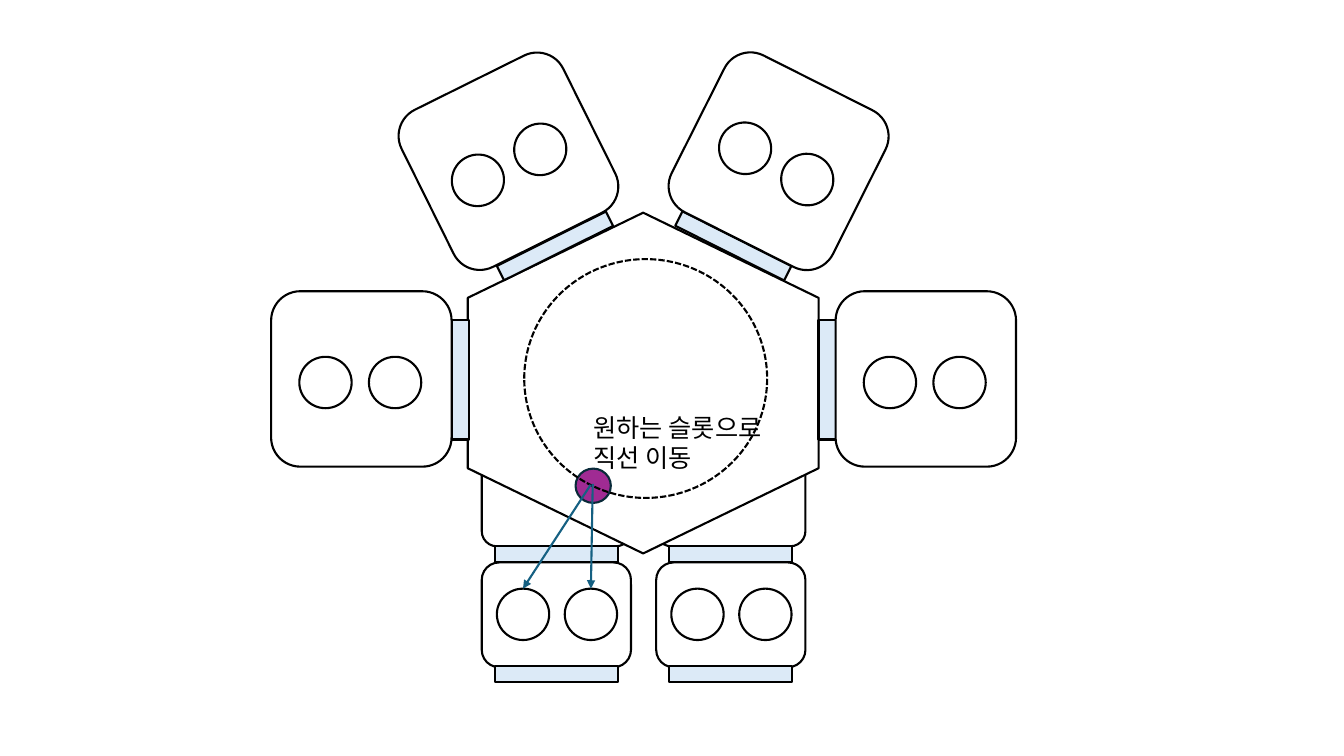
from math import cos, radians, sin

from pptx import Presentation
from pptx.dml.color import RGBColor
from pptx.enum import dml, shapes, text
from pptx.oxml import ns
from pptx.util import Pt
from lxml import etree

COLORS = {
    "white": "FFFFFF",
    "black": "000000",
    "gate": "DCEAF7",
    "robot": "A02B93",
    "robot_edge": "092A39",
    "arrow": "156082",
}
FONT = "Noto Sans CJK KR"
LINE_WIDTH = 1.5
SHAPE = shapes.MSO_SHAPE

SLOT_SIZE = (37.4, 36.7)
CHAMBER_SIZE = (128.9, 125.3)
CHAMBER_SLOTS = [(-25.6, 2.5), (24.1, 2.5)]
LOCK_SIZE = (106.6, 74.9)
LOCK_SLOTS = [(-23.8, -0.4), (24.7, -0.4)]
LOCK_COLUMNS = (397.4, 522)


def color(name):
    return RGBColor.from_string(COLORS[name])


def add_part(parent, kind, center, size, rotation=0, fill="white", edge="black"):
    """Add an outlined preset shape around its center; fill None leaves it open."""
    (x, y), (width, height) = center, size
    shape = parent.shapes.add_shape(
        kind, Pt(x - width / 2), Pt(y - height / 2), Pt(width), Pt(height))
    shape.rotation = rotation
    shape.shadow.inherit = False
    if fill:
        shape.fill.solid()
        shape.fill.fore_color.rgb = color(fill)
    else:
        shape.fill.background()
    shape.line.color.rgb = color(edge)
    shape.line.width = Pt(LINE_WIDTH)
    return shape


def add_gate(parent, center, size, rotation):
    add_part(parent, SHAPE.RECTANGLE, center, size, rotation, fill="gate")


def add_module(parent, center, size, slot_offsets, rotation=0):
    """Add a rounded module and its wafer slots, turned together; return the slots."""
    add_part(parent, SHAPE.ROUNDED_RECTANGLE, center, size, rotation)
    cosine, sine = cos(radians(rotation)), sin(radians(rotation))
    slots = []
    for dx, dy in slot_offsets:
        slot_center = (center[0] + dx * cosine - dy * sine,
                       center[1] + dx * sine + dy * cosine)
        slots.append(add_part(parent, SHAPE.OVAL, slot_center, SLOT_SIZE, rotation))
    return slots


def add_arrow(slide, start, target):
    """Add an arrow from a point to the top of the target shape."""
    x, y = (Pt(value) for value in start)
    arrow = slide.shapes.add_connector(shapes.MSO_CONNECTOR.STRAIGHT, x, y, x, y)
    arrow.end_connect(target, 0)
    arrow.line.color.rgb = color("arrow")
    arrow.line.width = Pt(LINE_WIDTH)
    etree.SubElement(arrow.line._get_or_add_ln(), ns.qn("a:tailEnd"), type="triangle")
    etree.SubElement(arrow._element.spPr, ns.qn("a:effectLst"))


def add_label(slide, left, top, width, height, lines):
    box = slide.shapes.add_textbox(Pt(left), Pt(top), Pt(width), Pt(height))
    frame = box.text_frame
    frame.word_wrap = False
    frame.auto_size = text.MSO_AUTO_SIZE.SHAPE_TO_FIT_TEXT
    for index, line in enumerate(lines):
        paragraph = frame.add_paragraph() if index else frame.paragraphs[0]
        run = paragraph.add_run()
        run.text = line
        run.font.size = Pt(18)
        run.font.name = FONT
        run.font.color.rgb = color("black")
        etree.SubElement(run.font._element, ns.qn("a:ea"), typeface=FONT)


def add_equipment(slide):
    """Draw the grouped equipment; return the slots of the left load lock."""
    group = slide.shapes.add_group_shape()

    # Transfer chamber over the inner lock parts
    for x in reversed(LOCK_COLUMNS):
        add_part(group, SHAPE.ROUNDED_RECTANGLE, (x, 357.5), (106.6, 65.5))
    add_part(group, SHAPE.HEXAGON, (459.4, 273.6), (243.4, 250.6), 90)

    # Gates around the transfer chamber
    for x, rotation in ((396.4, 333.5), (523.8, 26.7)):
        add_gate(group, (x, 175.7), (87.1, 11.5), rotation)
    for x in (328.7, 590.8):
        add_gate(group, (x, 271.1), (85.7, 12.2), 270)
    for x in LOCK_COLUMNS:
        add_gate(group, (x, 396), (87.8, 11.5), 180)

    # Load locks and process chambers
    lock_slots = [add_module(group, (x, 439.2), LOCK_SIZE, LOCK_SLOTS)
                  for x in LOCK_COLUMNS]
    for x, y, rotation in ((258.1, 270.7, 0), (363.2, 115.2, 333.6),
                           (556.2, 115.2, 26.7), (661.3, 270.7, 0)):
        add_module(group, (x, y), CHAMBER_SIZE, CHAMBER_SLOTS, rotation)

    # Outer gates of the load locks
    for x in LOCK_COLUMNS:
        add_gate(group, (x, 481.7), (87.8, 11.5), 180)
    return lock_slots[0]


def main():
    presentation = Presentation()
    presentation.slide_width, presentation.slide_height = Pt(960), Pt(540)
    slide = presentation.slides.add_slide(presentation.slide_layouts[6])

    left_slot, right_slot = add_equipment(slide)

    # Robot and its circular track
    add_part(slide, SHAPE.OVAL, (423.7, 347), (25.2, 24.5),
             fill="robot", edge="robot_edge")
    track = add_part(slide, SHAPE.OVAL, (461.2, 270.4), (173.5, 170.6), fill=None)
    track.line.dash_style = dml.MSO_LINE.SQUARE_DOT

    # Straight moves to the slots
    add_arrow(slide, (421.9, 346.3), left_slot)
    add_arrow(slide, (423.4, 345.6), right_slot)
    add_label(slide, 416.9, 290.9, 148.3, 51.1, ["원하는 슬롯으로", "직선 이동"])

    presentation.save("out.pptx")


if __name__ == "__main__":
    main()
